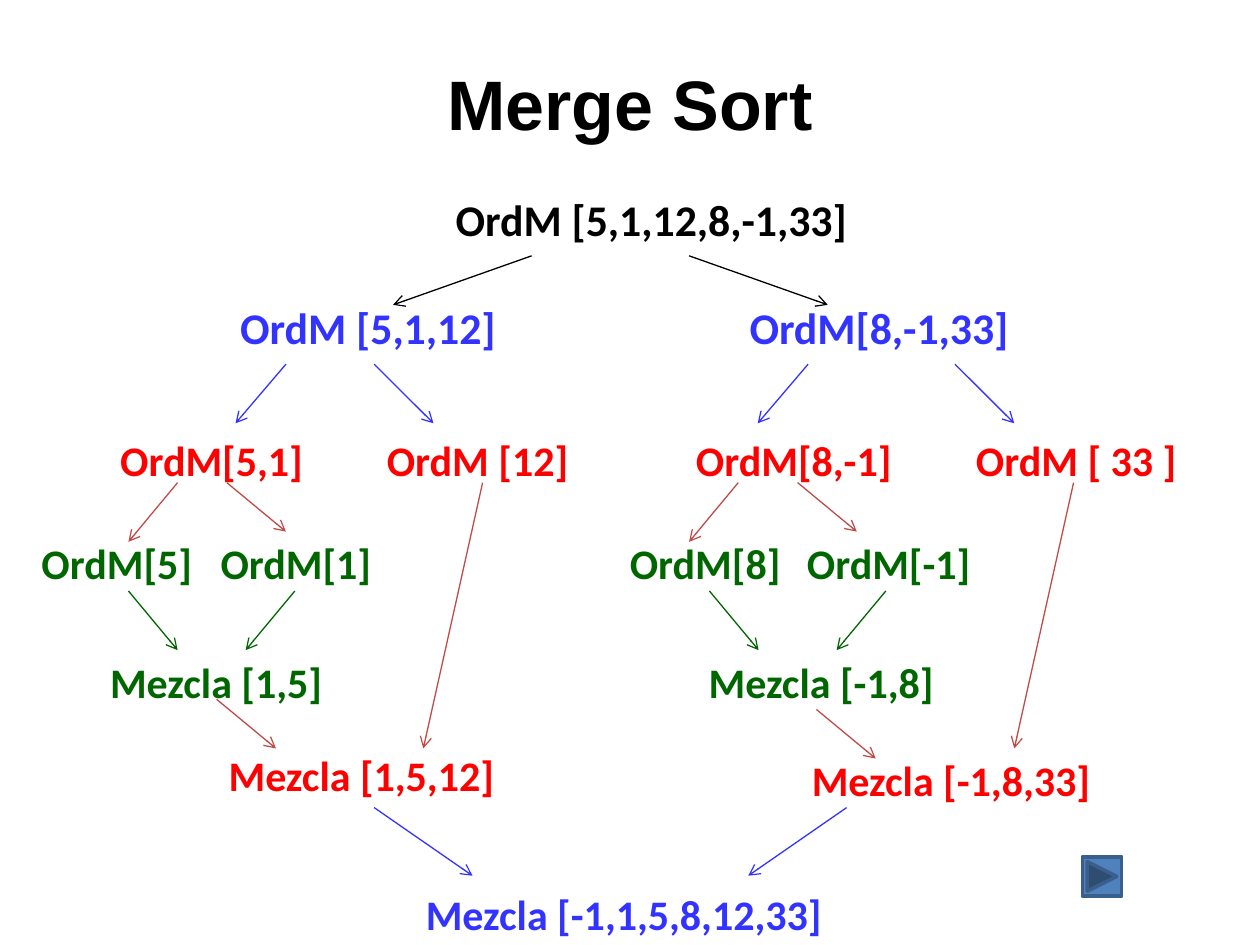
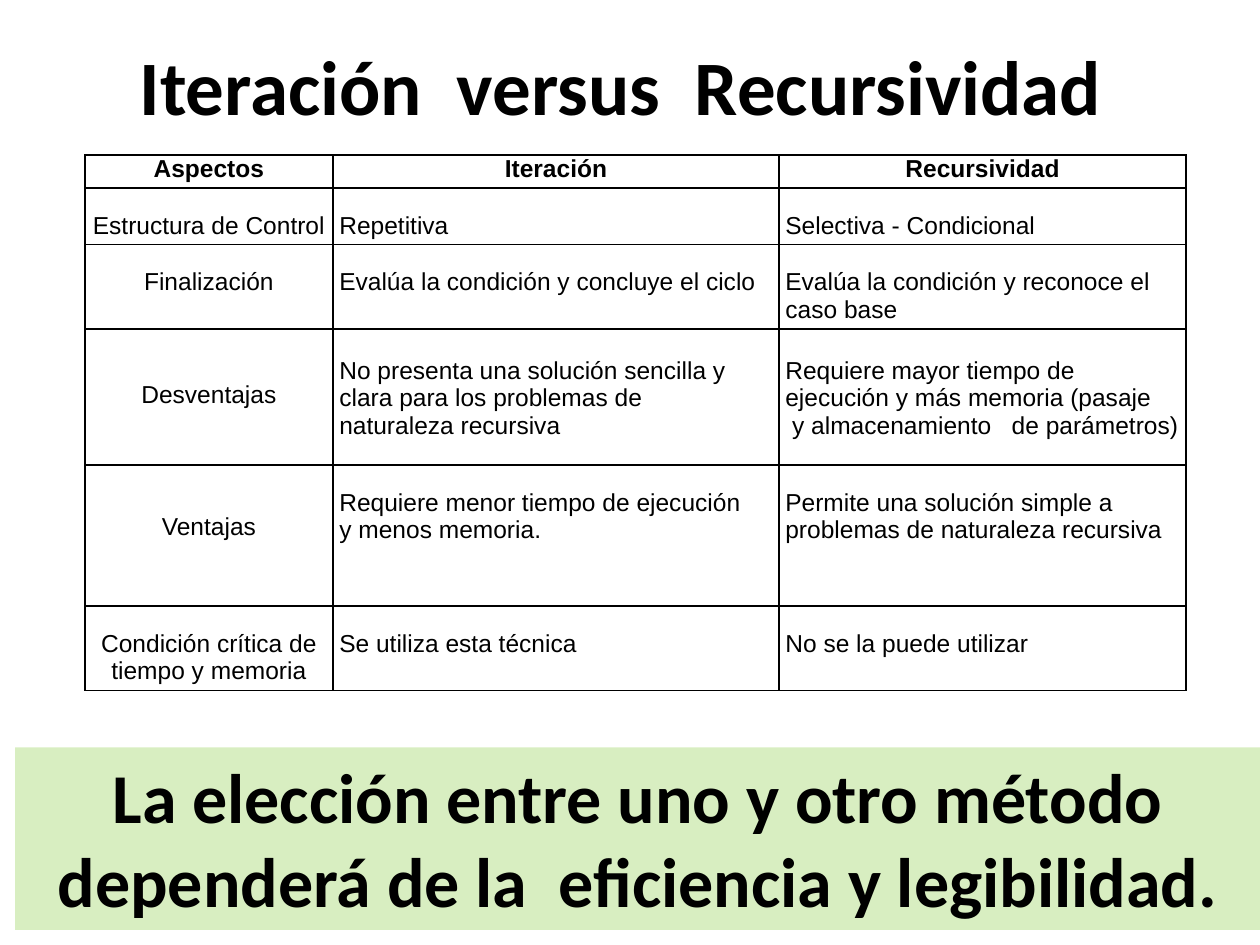
from lxml import etree
from pptx import Presentation
from pptx.dml.color import RGBColor
from pptx.enum.shapes import MSO_CONNECTOR, MSO_SHAPE
from pptx.enum.text import MSO_ANCHOR, MSO_AUTO_SIZE, PP_ALIGN
from pptx.oxml.ns import qn
from pptx.util import Pt

BLACK = RGBColor(0x00, 0x00, 0x00)
BLUE = RGBColor(0x33, 0x33, 0xFF)
RED = RGBColor(0xFF, 0x00, 0x00)
GREEN = RGBColor(0x00, 0x66, 0x00)
BROWN = RGBColor(0xBF, 0x4C, 0x48)
BUTTON_FILL = RGBColor(0x4F, 0x81, 0xBD)
BUTTON_LINE = RGBColor(0x3A, 0x5F, 0x8C)
LIME = RGBColor(0x92, 0xD0, 0x50)

STRAIGHT = MSO_CONNECTOR.STRAIGHT
RECTANGLE = MSO_SHAPE.RECTANGLE
NEXT_BUTTON = MSO_SHAPE.ACTION_BUTTON_FORWARD_OR_NEXT
TOP, MIDDLE = MSO_ANCHOR.TOP, MSO_ANCHOR.MIDDLE
NO_AUTOFIT = MSO_AUTO_SIZE.NONE
LEFT, CENTER = PP_ALIGN.LEFT, PP_ALIGN.CENTER

TITLE_ONLY = 5
BLANK_LINE = 13.8  # height of one 12 pt line, used as space above cell text
MIRROR_SUM = 697.6  # twice the x of the sort tree's vertical axis

# Labels of the sort tree: colour, size, top, then (text, left, width)
TREE_LEVELS = [
    (BLACK, 25, 106.6, [("OrdM [5,1,12,8,-1,33]", 253.3, 242)]),
    (BLUE, 25, 168.5, [("OrdM [5,1,12]", 130.2, 164), ("OrdM[8,-1,33]", 421.2, 165)]),
    (RED, 24, 244.8, [("OrdM[5,1]", 61.6, 122), ("OrdM [12]", 214, 122),
                      ("OrdM[8,-1]", 390.6, 130), ("OrdM [ 33 ]", 550.6, 132)]),
    (GREEN, 24, 303.8, [("OrdM[5]", 16.6, 104), ("OrdM[1]", 118.9, 104),
                        ("OrdM[8]", 352.8, 104), ("OrdM[-1]", 454, 112)]),
    (GREEN, 24, 371.5, [("Mezcla [1,5]", 55.8, 138), ("Mezcla [-1,8]", 397.8, 146)]),
    (RED, 24, 424.8, [("Mezcla [1,5,12]", 123.5, 170)]),
    (RED, 24, 427.7, [("Mezcla [-1,8,33]", 456.8, 177)]),
    (BLUE, 24, 504, [("Mezcla [-1,1,5,8,12,33]", 236.2, 243)]),
]

# Arrows of the left half: colour, start, end, shift to the twin in the right half
SHIFTED_ARROWS = [
    (GREEN, (73.4, 337.7), (101.5, 371.5), (332, 0)),
    (GREEN, (168.5, 337.7), (140.4, 371.5), (337.7, 0)),
    (BROWN, (129.6, 275.8), (163.4, 303.8), (326.2, 0)),
    (BROWN, (101.5, 275.8), (73.4, 309.6), (320.4, 0)),
    (BROWN, (275.8, 275.8), (241.9, 427.7), (337.7, 0)),
    (BROWN, (123.8, 399.6), (157.7, 427.7), (342.7, 5.8)),
    (BLUE, (163.4, 208.1), (134.6, 241.9), (298.4, 0)),
    (BLUE, (213.8, 208.1), (247.7, 241.9), (331.9, 0)),
]
MIRRORED_ARROWS = [
    (BLUE, (213.8, 461.5), (270, 500.4)),
    (BLACK, (303.8, 146.2), (224.6, 174.2)),
]

# Comparison table: row height, blank lines above each cell, cell texts
COLUMN_WIDTHS = [141.8, 254.9, 232.6]
COMPARISON = [
    (18.7, (0, 0, 0), ("Aspectos", "Iteración", "Recursividad")),
    (32.4, (1, 1, 1), ("Estructura de Control", "Repetitiva", "Selectiva - Condicional")),
    (48.2, (1, 1, 1), ("Finalización", "Evalúa la condición y concluye el ciclo",
                       "Evalúa la condición y reconoce el caso base")),
    (77.8, (2.17, 1.17, 1.17), (
        "Desventajas",
        "No presenta una solución sencilla y\nclara para los problemas de\nnaturaleza recursiva",
        "Requiere mayor tiempo de\nejecución y más memoria (pasaje\n"
        " y almacenamiento   de parámetros)")),
    (80.6, (2, 1, 1), ("Ventajas", "Requiere menor tiempo de ejecución\ny menos memoria.",
                       "Permite una solución simple a problemas de naturaleza recursiva")),
    (48.2, (1, 1, 1), ("Condición crítica de tiempo y memoria",
                       "Se utiliza esta técnica", "No se la puede utilizar")),
]


class Deck:
    """Holds the presentation, the text style and the current slide."""

    def __init__(self):
        self.prs = Presentation()
        self.prs.slide_width, self.prs.slide_height = Pt(720), Pt(540)
        self.slide = None

    def style(self, frame, size, color=BLACK, font="Calibri", bold=True, align=LEFT):
        for paragraph in frame.paragraphs:
            paragraph.alignment = align
            paragraph.font.name = font
            paragraph.font.size = Pt(size)
            paragraph.font.bold = bold
            paragraph.font.color.rgb = color

    def new_slide(self, title, box, size, font="Calibri"):
        self.slide = self.prs.slides.add_slide(self.prs.slide_layouts[TITLE_ONLY])
        heading = self.slide.shapes.title
        heading.left, heading.top, heading.width, heading.height = map(Pt, box)
        frame = heading.text_frame
        frame.text = title
        frame.vertical_anchor = MIDDLE
        frame.auto_size = NO_AUTOFIT
        self.style(frame, size, font=font, align=CENTER)

    def label(self, text, left, top, width, size, color):
        box = self.slide.shapes.add_textbox(Pt(left), Pt(top), Pt(width), Pt(36))
        box.text_frame.word_wrap = True
        box.text_frame.text = text
        self.style(box.text_frame, size, color)

    def arrow(self, start, end, color):
        line = self.slide.shapes.add_connector(STRAIGHT, *map(Pt, start + end))
        line.line.color.rgb = color
        line.line.width = Pt(0.75)
        etree.SubElement(line.line._get_or_add_ln(), qn("a:tailEnd"), type="arrow")
        etree.SubElement(line._element.spPr, qn("a:effectLst"))

    def shape(self, preset, box, fill, outline=None, opacity=None):
        shape = self.slide.shapes.add_shape(preset, *map(Pt, box))
        shape.shadow.inherit = False
        shape.fill.solid()
        shape.fill.fore_color.rgb = fill
        if opacity:
            rgb = next(shape._element.spPr.iter(qn("a:srgbClr")))
            etree.SubElement(rgb, qn("a:alpha"), val=str(opacity * 1000))
        if outline:
            shape.line.color.rgb = outline
            shape.line.width = Pt(2)
        else:
            shape.line.fill.background()
        return shape

    def banner(self, text, box, size, fill, opacity):
        frame = self.shape(RECTANGLE, box, fill, opacity=opacity).text_frame
        frame.word_wrap = True
        frame.vertical_anchor = TOP
        frame.text = text
        self.style(frame, size, align=CENTER)

    def border(self, cell, widths):
        props = cell._tc.get_or_add_tcPr()
        for index, (side, width) in enumerate(widths.items()):
            edge = etree.Element(qn(f"a:{side}"), w=str(Pt(width)))
            fill = etree.SubElement(edge, qn("a:solidFill"))
            etree.SubElement(fill, qn("a:srgbClr"), val=str(BLACK))
            props.insert(index, edge)

    def table(self, left, top, widths, rows):
        height = sum(row[0] for row in rows)
        table = self.slide.shapes.add_table(
            len(rows), len(widths), Pt(left), Pt(top), Pt(sum(widths)), Pt(height)).table
        table.first_row = table.horz_banding = False
        for column, width in zip(table.columns, widths):
            column.width = Pt(width)
        for r, (row_height, blanks, texts) in enumerate(rows):
            table.rows[r].height = Pt(row_height)
            for c, (blank, text) in enumerate(zip(blanks, texts)):
                cell = table.cell(r, c)
                cell.text = text
                cell.margin_left = cell.margin_right = Pt(3.6)
                cell.margin_top, cell.margin_bottom = Pt(blank * BLANK_LINE), Pt(0)
                cell.fill.background()
                self.style(cell.text_frame, 14, font="Arial", bold=r == 0,
                           align=CENTER if r == 0 or c == 0 else LEFT)
                self.border(cell, {"lnL": 1, "lnR": 1, "lnT": 1.5 if r == 1 else 1,
                                   "lnB": 1.5 if r == 0 else 1})


def merge_sort_slide(deck):
    deck.new_slide("Merge Sort", (36, 21.6, 648, 74.2), 40, "Arial")

    # Calls and merges
    for color, size, top, labels in TREE_LEVELS:
        for text, left, width in labels:
            deck.label(text, left, top, width, size, color)

    # Arrows with their twins on the right
    for color, start, end, (dx, dy) in SHIFTED_ARROWS:
        deck.arrow(start, end, color)
        deck.arrow((start[0] + dx, start[1] + dy), (end[0] + dx, end[1] + dy), color)
    for color, start, end in MIRRORED_ARROWS:
        deck.arrow(start, end, color)
        deck.arrow((MIRROR_SUM - start[0], start[1]), (MIRROR_SUM - end[0], end[1]), color)

    # Forward button
    deck.shape(NEXT_BUTTON, (618.5, 489.6, 22.5, 22.5), BUTTON_FILL, BUTTON_LINE)


def comparison_slide(deck):
    deck.new_slide("Iteración  versus  Recursividad", (31, 3.6, 648, 90), 44)
    deck.table(48.5, 88.6, COLUMN_WIDTHS, COMPARISON)

    # Conclusion
    deck.banner("La elección entre uno y otro método dependerá de la  eficiencia y legibilidad.",
                (8.6, 427, 711.4, 104.4), 40, LIME, 35)


def main():
    deck = Deck()
    merge_sort_slide(deck)
    comparison_slide(deck)
    deck.prs.save("out.pptx")


if __name__ == "__main__":
    main()
